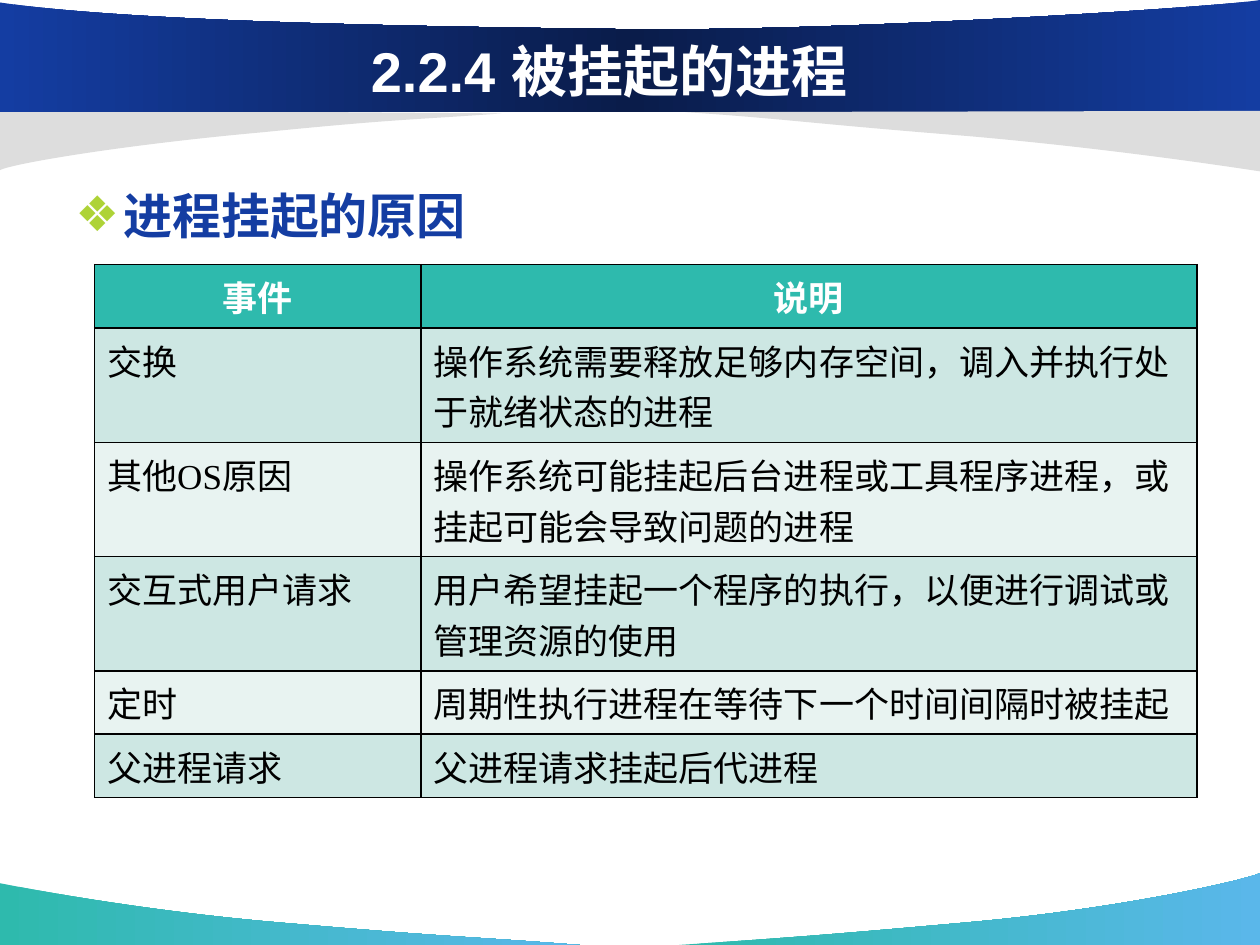
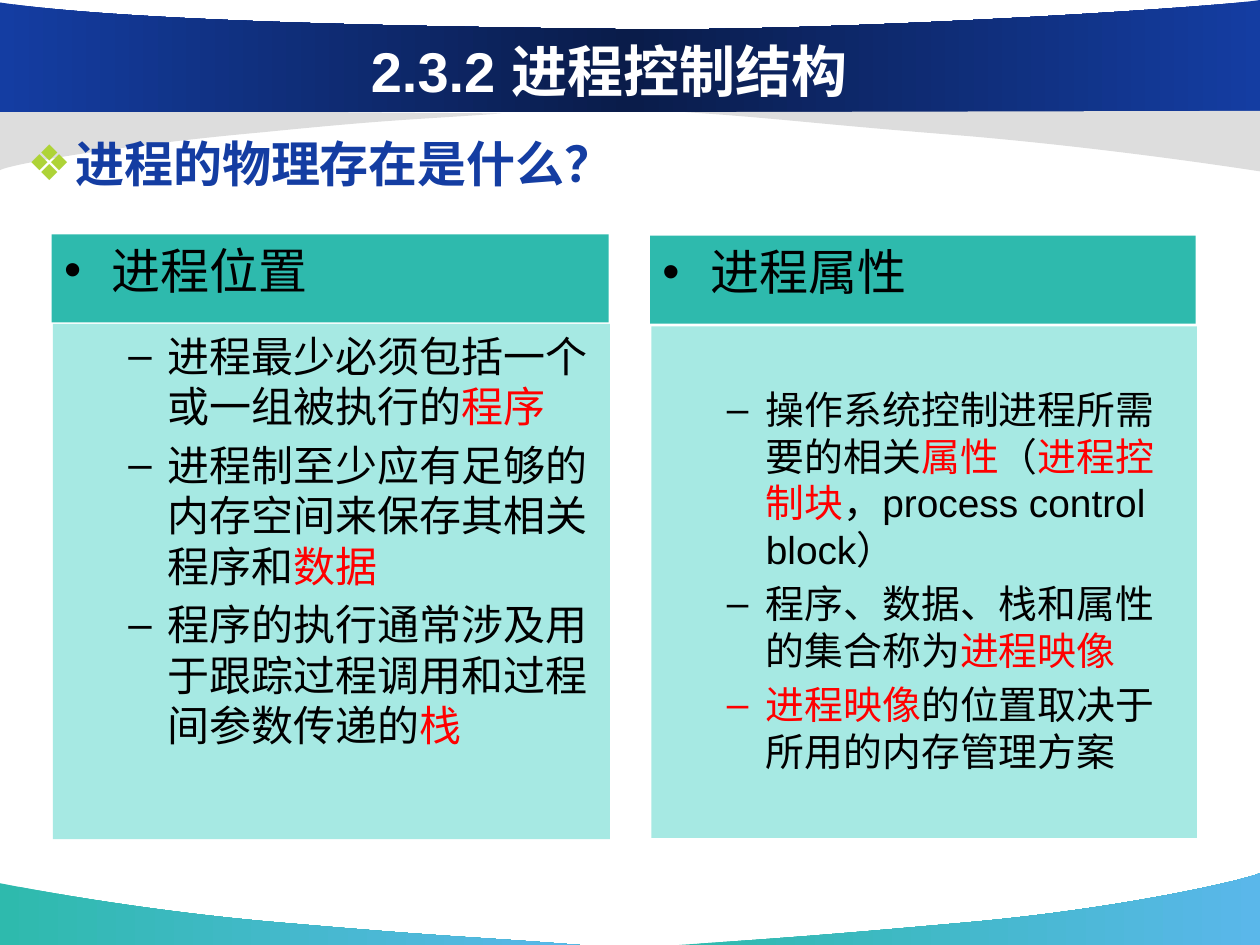
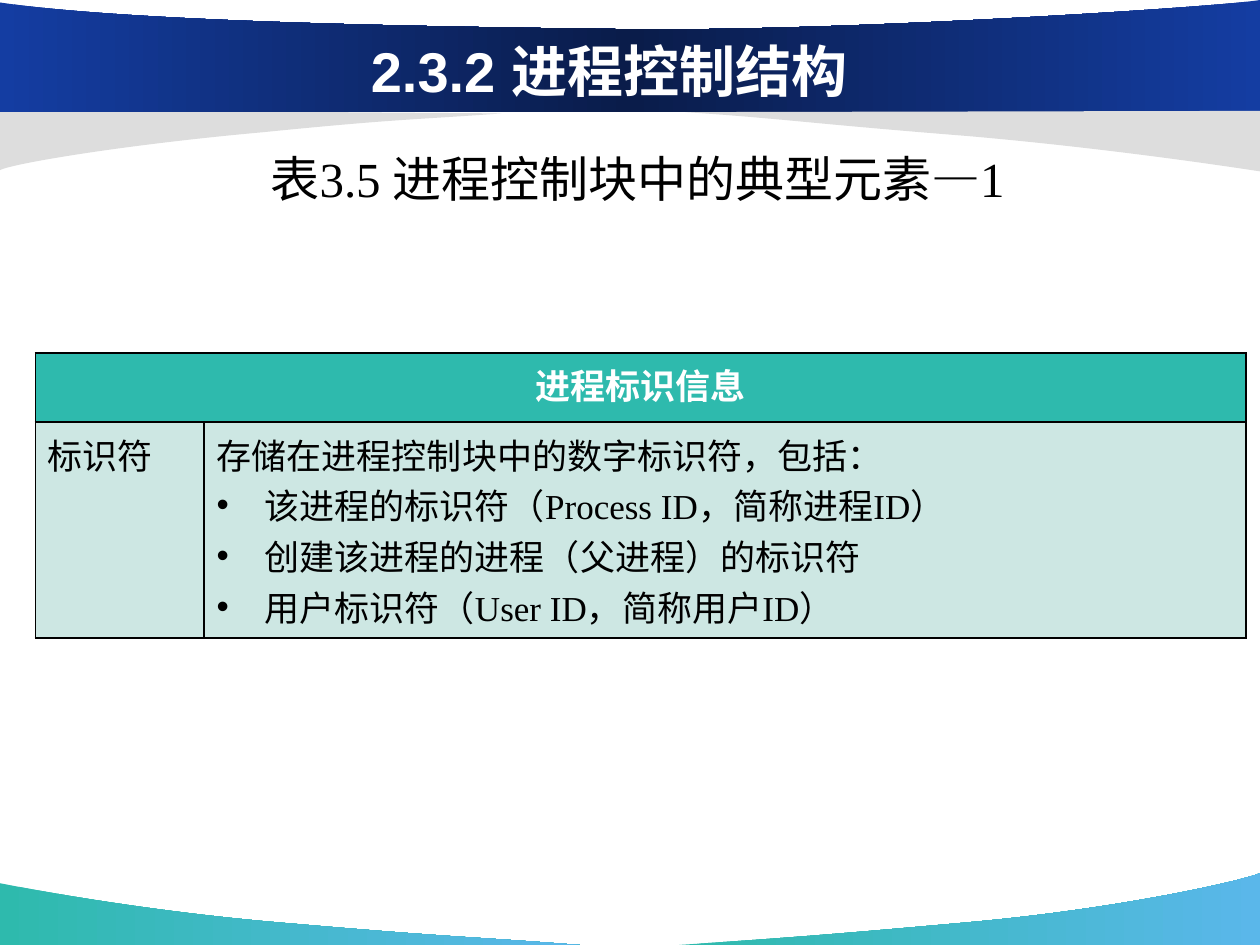
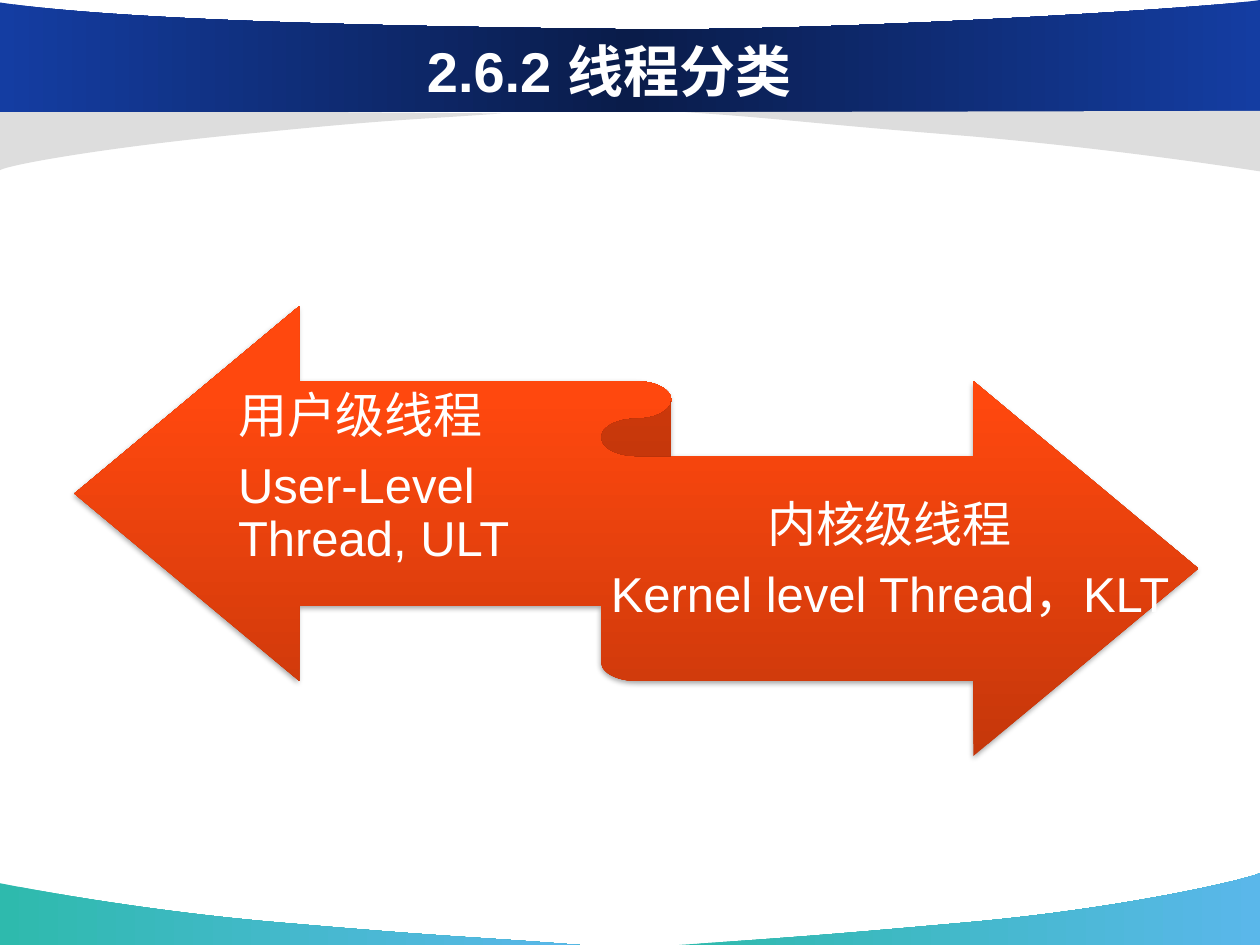
from dataclasses import dataclass

from pptx import Presentation
from pptx.dml.color import RGBColor
from pptx.enum.shapes import MSO_SHAPE as Shape
from pptx.enum.text import MSO_ANCHOR as Anchor, MSO_AUTO_SIZE as AutoSize, PP_ALIGN as Align
from pptx.oxml import parse_xml
from pptx.oxml.ns import nsdecls, qn
from pptx.util import Pt

EMU_PER_PX = 9144
TITLE_ONLY = 5


@dataclass(frozen=True)
class Theme:
    navy: str = "143DA2"
    midnight: str = "0A1C4A"
    teal: str = "2EBAAD"
    sky: str = "5AB7EA"
    gray: str = "DDDDDD"
    lime: str = "AED337"
    mint: str = "A6E9E3"
    row_dark: str = "CDE7E3"
    row_light: str = "E8F3F1"
    white: str = "FFFFFF"
    black: str = "000000"
    red: str = "FF0000"
    ribbon: tuple = ((0, "C5370B"), (80, "FF480E"), (100, "FF4910"))
    sans: str = "Arial"
    serif: str = "Times New Roman"
    title_size: float = 32
    heading_size: float = 28
    body_size: float = 24
    small_size: float = 22.2
    table_size: float = 20


THEME = Theme()
FOOTER_GRADIENT = ((0, THEME.teal), (100, THEME.sky))
HEADER_GRADIENT = ((0, THEME.navy), (50, THEME.midnight), (100, THEME.navy))
BANDS = [
    (FOOTER_GRADIENT, [(460, 750), (384, 744, 358, 744, 232, 733), (106, 723, 1, 701, 0, 701), (0, 750)]),
    (FOOTER_GRADIENT, [(539, 750), (614, 745, 646, 743, 769, 732), (892, 721, 990, 698, 1000, 693), (1000, 750)]),
    (THEME.gray, [(398, 90), (331, 95, 318, 94, 208, 105), (97, 115, 9, 130, 0, 135), (0, 87)]),
    (HEADER_GRADIENT, [(0, 89), (1000, 89), (1000, 0), (964, 6, 653, 26, 487, 23), (321, 21, 101, 17, 0, 2)]),
    (THEME.gray, [(544, 89), (620, 94, 642, 98, 768, 108), (894, 119, 999, 136, 1000, 136), (1000, 88)]),
]


def px(*lengths):
    return [round(length * EMU_PER_PX) for length in lengths]


def bend_lines(shape, segments):
    lines = iter(list(shape.element.iter(qn("a:lnTo"))))
    for segment in segments:
        line = next(lines)
        if len(segment) == 6:
            curve = parse_xml(f'<a:cubicBezTo {nsdecls("a")}/>')
            line.addprevious(curve)
            for part in (line, next(lines), next(lines)):
                curve.append(part[0])
                part.getparent().remove(part)


def paint(shape, fill, angle=0):
    shape.shadow.inherit = False
    shape.line.fill.background()
    if isinstance(fill, str):
        shape.fill.solid()
        shape.fill.fore_color.rgb = RGBColor.from_string(fill)
        return
    shape.fill.gradient()
    shape.fill.gradient_angle = angle
    stops = shape.element.spPr.find(qn("a:gradFill")).find(qn("a:gsLst"))
    for stop in list(stops):
        stops.remove(stop)
    for position, color in fill:
        stops.append(parse_xml(
            f'<a:gs {nsdecls("a")} pos="{position * 1000}"><a:srgbClr val="{color}"/></a:gs>'))


def add_bullet(paragraph, bullet, color, indent):
    properties = paragraph._p.get_or_add_pPr()
    left, hanging = px(*indent)
    properties.set("marL", str(left))
    properties.set("indent", str(hanging))
    if color:
        properties.append(parse_xml(f'<a:buClr {nsdecls("a")}><a:srgbClr val="{color}"/></a:buClr>'))
    properties.append(parse_xml(f'<a:buFont {nsdecls("a")} typeface="{THEME.sans}"/>'))
    properties.append(parse_xml(f'<a:buChar {nsdecls("a")} char="{bullet}"/>'))


def write_text(frame, *lines, size, font=THEME.sans, color=THEME.black, bold=False, align=Align.LEFT,
               anchor=Anchor.TOP, margins=(10, 5, 10, 5), spacing=None, before=0, after=0, level=0,
               bullet=None, bullet_color=None, bullet_from=0, indent=(38, -38)):
    frame.word_wrap = True
    frame.auto_size = AutoSize.NONE
    frame.vertical_anchor = anchor
    frame.margin_left, frame.margin_top, frame.margin_right, frame.margin_bottom = px(*margins)
    for number, line in enumerate(lines):
        paragraph = frame.add_paragraph() if number else frame.paragraphs[0]
        paragraph.alignment = align
        paragraph.level = level
        if bullet and number >= bullet_from:
            add_bullet(paragraph, bullet, bullet_color, indent)
        if spacing:
            paragraph.line_spacing = spacing
        paragraph.space_before = Pt(before if number else 0)
        paragraph.space_after = Pt(after)
        for part, text in enumerate(line.split("|")):
            if text:
                run = paragraph.add_run()
                run.text = text
                run.font.name = font
                run.font.size = Pt(size)
                run.font.bold = bold
                run.font.color.rgb = RGBColor.from_string(THEME.red if part % 2 else color)


class Deck:
    def __init__(self, theme):
        self.theme = theme
        self.presentation = Presentation()
        self.presentation.slide_width, self.presentation.slide_height = px(1000, 750)
        self.layout = self.presentation.slide_layouts[TITLE_ONLY]
        self.slide = None

    def add_slide(self, title):
        first = self.slide is None
        self.slide = self.presentation.slides.add_slide(self.layout)
        if first:
            self.add_bands()
        shape = self.slide.shapes.title
        shape.left, shape.top, shape.width, shape.height = px(92, 25, 783, 62)
        write_text(shape.text_frame, title, size=self.theme.title_size, color=self.theme.white,
                   bold=True, align=Align.CENTER, anchor=Anchor.MIDDLE)

    def add_bands(self):
        for placeholder in list(self.layout.placeholders)[1:]:
            placeholder.element.getparent().remove(placeholder.element)
        shapes = [self.add_outline(fill, outline) for fill, outline in BANDS]
        for index, shape in enumerate(shapes, start=2):
            self.layout.shapes.element.insert(index, shape.element)

    def add_outline(self, fill, outline):
        start, *segments = outline
        points = [px(*segment[index:index + 2]) for segment in segments for index in range(0, len(segment), 2)]
        builder = self.slide.shapes.build_freeform(*px(*start), scale=1.0)
        builder.add_line_segments(points, close=True)
        shape = builder.convert_to_shape()
        bend_lines(shape, segments)
        paint(shape, fill)
        return shape

    def add_text(self, box, *lines, **text_format):
        shape = self.slide.shapes.add_textbox(*px(*box))
        write_text(shape.text_frame, *lines, **text_format)
        return shape

    def add_topic(self, box, text):
        self.add_text(box, text, size=self.theme.heading_size, color=self.theme.navy, bold=True,
                      spacing=1.2, bullet="❖", bullet_color=self.theme.lime)

    def add_panel(self, box, fill, *lines, **text_format):
        shape = self.slide.shapes.add_shape(Shape.RECTANGLE, *px(*box))
        paint(shape, fill)
        write_text(shape.text_frame, *lines, **text_format)

    def add_table(self, left, top, columns, heights, rows):
        box = px(left, top, sum(columns), sum(heights))
        table = self.slide.shapes.add_table(len(rows), len(columns), *box).table
        for column, width in zip(table.columns, px(*columns)):
            column.width = width
        for row, height in zip(table.rows, px(*heights)):
            row.height = height
        for row_number, row in enumerate(rows):
            for column_number, text in enumerate(row):
                self.fill_cell(table.cell(row_number, column_number), row_number, text)
        return table

    def fill_cell(self, cell, row_number, text):
        theme = self.theme
        header = row_number == 0
        fill = theme.teal if header else (theme.row_light, theme.row_dark)[row_number % 2]
        cell.fill.solid()
        cell.fill.fore_color.rgb = RGBColor.from_string(fill)
        properties = cell._tc.get_or_add_tcPr()
        for index, side in enumerate("LRTB"):
            properties.insert(index, parse_xml(
                f'<a:ln{side} {nsdecls("a")} w="{Pt(1)}"><a:solidFill><a:srgbClr val="{theme.black}"/>'
                f'</a:solidFill></a:ln{side}>'))
        if text:
            write_text(cell.text_frame, *text.split("\n"), size=theme.table_size, font=theme.serif,
                       color=theme.white if header else theme.black, bold=header,
                       align=Align.CENTER if header else Align.LEFT, bullet="•", bullet_from=1)

    def add_ribbon(self, box):
        shape = self.slide.shapes.add_shape(Shape.LEFT_RIGHT_RIBBON, *px(*box))
        paint(shape, self.theme.ribbon, angle=90)
        shape.element.spPr.find(qn("a:effectLst")).append(parse_xml(
            f'<a:outerShdw {nsdecls("a")} blurRad="{Pt(3.1)}" dist="{Pt(1.8)}" dir="5400000" rotWithShape="0">'
            f'<a:srgbClr val="{self.theme.black}"><a:alpha val="35000"/></a:srgbClr></a:outerShdw>'))
        return shape

    def add_group(self, *shapes):
        self.slide.shapes.add_group_shape(shapes=shapes)


def build_suspension(deck):
    deck.add_slide("2.2.4 被挂起的进程")
    deck.add_topic((50, 133, 900, 61), "进程挂起的原因")
    rows = [
        ("事件", "说明"),
        ("交换", "操作系统需要释放足够内存空间，调入并执行处于就绪状态的进程"),
        ("其他OS原因", "操作系统可能挂起后台进程或工具程序进程，或挂起可能会导致问题的进程"),
        ("交互式用户请求", "用户希望挂起一个程序的执行，以便进行调试或管理资源的使用"),
        ("定时", "周期性执行进程在等待下一个时间间隔时被挂起"),
        ("父进程请求", "父进程请求挂起后代进程"),
    ]
    deck.add_table(75, 210, (259, 616), [41] * len(rows), rows)


def build_control_structure(deck):
    theme = deck.theme
    deck.add_slide("2.3.2 进程控制结构")
    deck.add_topic((12, 92, 900, 63), "进程的物理存在是什么？")
    location = [
        "进程最少必须包括一个或一组被执行的|程序",
        "进程制至少应有足够的内存空间来保存其相关程序和|数据",
        "程序的执行通常涉及用于跟踪过程调用和过程间参数传递的|栈",
    ]
    attributes = [
        "操作系统控制进程所需要的相关|属性|（|进程控制块|，process control block）",
        "程序、数据、栈和属性的集合称为|进程映像",
        "|进程映像|的位置取决于所用的内存管理方案",
    ]
    panels = [
        ("进程位置", (41, 186, 442, 70), location, (42, 257, 442, 409), theme.body_size, 5),
        ("进程属性", (516, 187, 433, 70), attributes, (517, 259, 433, 406), theme.small_size, 47),
    ]
    for heading, heading_box, items, body_box, size, top_margin in panels:
        deck.add_panel(heading_box, theme.teal, heading, size=theme.heading_size, font=theme.serif, bullet="•")
        deck.add_panel(body_box, theme.mint, *items, size=size, margins=(10, top_margin, 10, 5),
                       before=size / 5, level=1, bullet="–", indent=(81, -31))


def build_control_block(deck):
    deck.add_slide("2.3.2 进程控制结构")
    identifiers = "\n".join([
        "存储在进程控制块中的数字标识符，包括：",
        "该进程的标识符（Process ID，简称进程ID）",
        "创建该进程的进程（父进程）的标识符",
        "用户标识符（User ID，简称用户ID）",
    ])
    rows = [("进程标识信息", ""), ("标识符", identifiers)]
    table = deck.add_table(28, 280, (134, 827), (55, 166), rows)
    table.cell(0, 0).merge(table.cell(0, 1))
    deck.add_text((205, 113, 606, 70), "表3.5 进程控制块中的典型元素—1",
                  size=deck.theme.heading_size, font=deck.theme.serif)


def build_thread_kinds(deck):
    deck.add_slide("2.6.2 线程分类")
    label = dict(size=deck.theme.heading_size, color=deck.theme.white, anchor=Anchor.MIDDLE,
                 spacing=0.9, after=9.8)
    ribbon = deck.add_ribbon((59, 243, 892, 357))
    user_level = deck.add_text((189, 351, 294, 109), "用户级线程", "User-Level Thread, ULT",
                               margins=(0, 11, 0, 61), **label)
    kernel_level = deck.add_text((483, 359, 446, 175), "内核级线程", "Kernel level Thread，KLT ",
                                 margins=(0, 11, 0, 12), align=Align.CENTER, **label)
    deck.add_group(ribbon, user_level, kernel_level)


def main():
    deck = Deck(THEME)
    build_suspension(deck)
    build_control_structure(deck)
    build_control_block(deck)
    build_thread_kinds(deck)
    deck.presentation.save("out.pptx")


if __name__ == "__main__":
    main()
